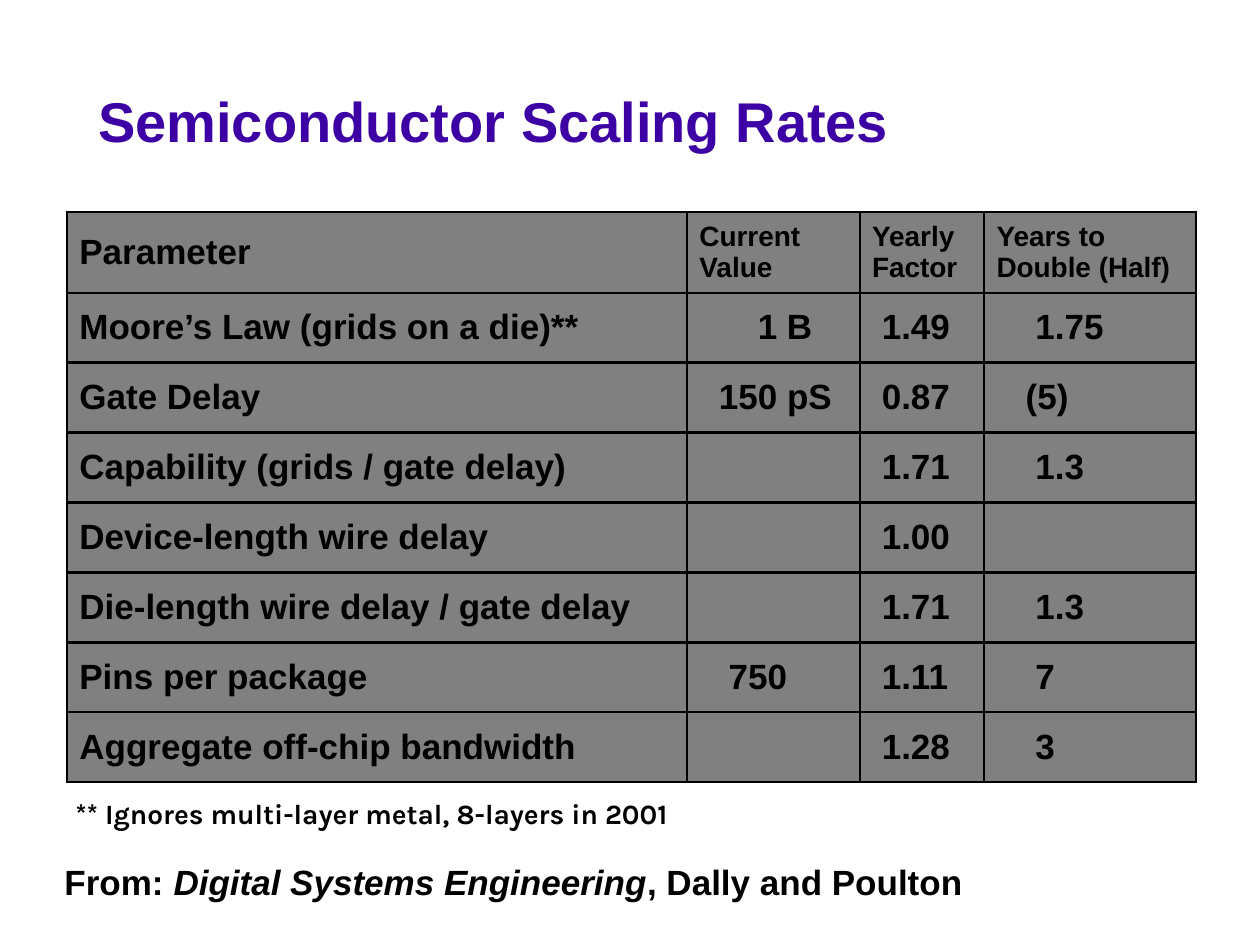
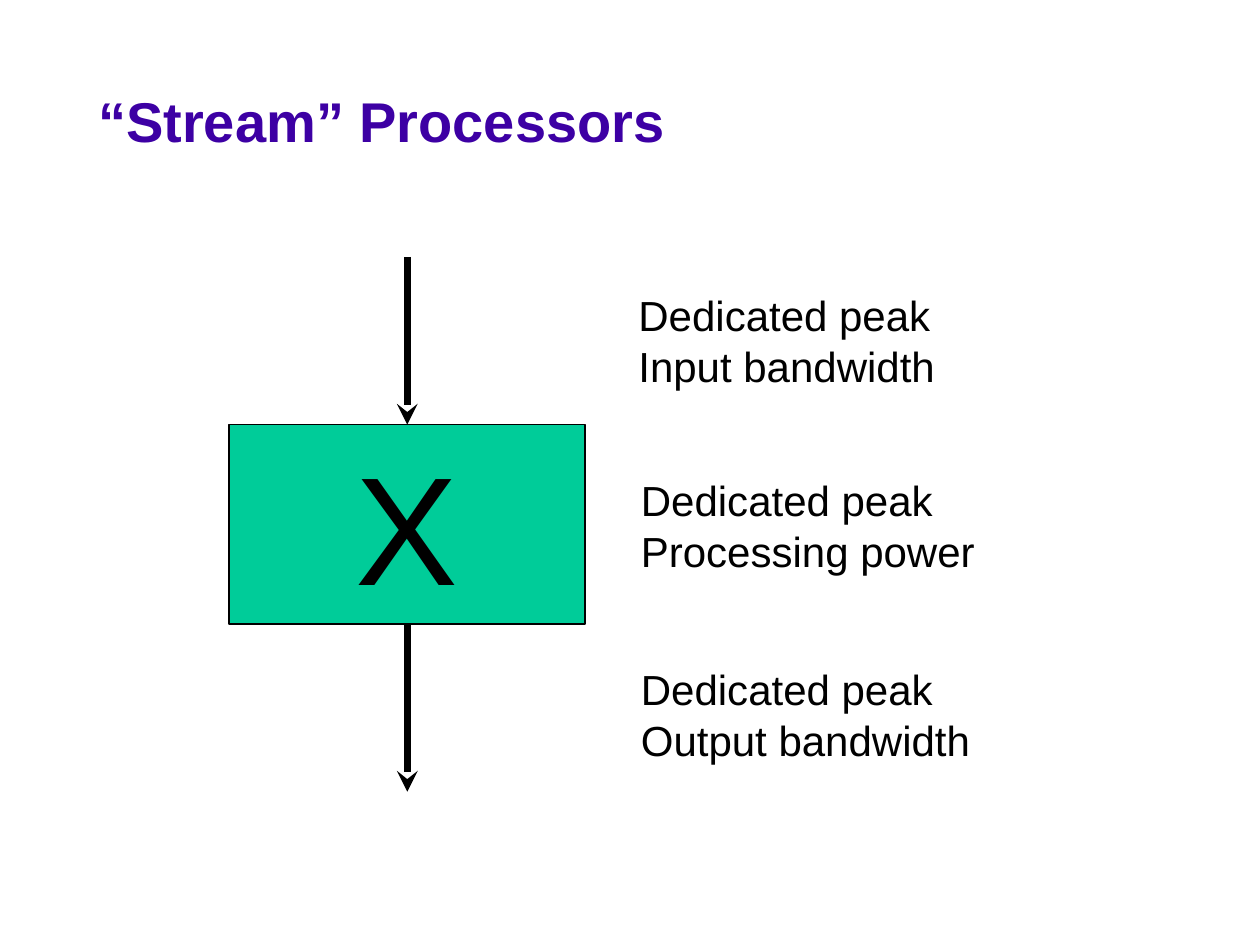
from lxml import etree
from pptx import Presentation
from pptx.dml.color import RGBColor
from pptx.enum.shapes import MSO_CONNECTOR, MSO_SHAPE
from pptx.enum.text import MSO_ANCHOR, PP_ALIGN
from pptx.oxml.ns import qn
from pptx.util import Cm, Pt

TOP, MIDDLE, BOTTOM = MSO_ANCHOR.TOP, MSO_ANCHOR.MIDDLE, MSO_ANCHOR.BOTTOM
CENTER = PP_ALIGN.CENTER
RECTANGLE = MSO_SHAPE.RECTANGLE
STRAIGHT = MSO_CONNECTOR.STRAIGHT

# Shared style
BLACK, PURPLE, GRAY, GREEN = "000000", "3D00A4", "808080", "00CC99"
FONT, NOTE_FONT = "Arial", "Karla"
CELL_MARGIN, CELL_STEP = 0.25, 0.196  # cm; a step is one indent unit

# Scaling table: columns, then rows whose values may carry an indent
COLUMN_WIDTHS = (12.5, 3.48, 2.51, 4.27)
HEADER_HEIGHT, ROW_HEIGHT = 1.63, 1.41
HEADERS = ("Parameter", "Current Value", "Yearly Factor", "Years to Double (Half)")
SCALING = (
    ("Moore’s Law (grids on a die)**", ("1 B", 6), "1.49", ("1.75", 4)),
    ("Gate Delay", ("150 pS", 2), "0.87", ("(5)", 3)),
    ("Capability (grids / gate delay)", ("", 0), "1.71", ("1.3", 4)),
    ("Device-length wire delay", ("", 0), "1.00", ("", 0)),
    ("Die-length wire delay / gate delay", ("", 0), "1.71", ("1.3", 4)),
    ("Pins per package", ("750", 3), "1.11", ("7", 4)),
    ("Aggregate off-chip bandwidth", ("", 0), "1.28", ("3", 4)),
)


def rgb(value):
    return RGBColor.from_string(value)


def add_run(p, text, size, color=BLACK, font=FONT, bold=False, italic=False):
    r = p.add_run()
    r.text = text
    r.font.size = Pt(size)
    r.font.name = font
    r.font.bold = bold
    r.font.italic = italic
    r.font.color.rgb = rgb(color)


def add_text_box(s, left, top, width, height, anchor=TOP, wrap=True):
    tf = s.shapes.add_textbox(Cm(left), Cm(top), Cm(width), Cm(height)).text_frame
    tf.word_wrap = wrap
    tf.vertical_anchor = anchor
    return tf


def add_slide(prs, title):
    s = prs.slides.add_slide(prs.slide_layouts[6])
    tf = add_text_box(s, 1.73, 1.6, 22.15, 1.63, BOTTOM)
    add_run(tf.paragraphs[0], title, 32, PURPLE, bold=True)
    return s


def add_borders(cell, color, width):
    tc_pr = cell._tc.get_or_add_tcPr()
    for side in ("a:lnL", "a:lnR", "a:lnT", "a:lnB"):
        ln = etree.SubElement(tc_pr, qn(side), w=str(Pt(width)))
        fill = etree.SubElement(ln, qn("a:solidFill"))
        etree.SubElement(fill, qn("a:srgbClr"), val=color)


def fill_cell(cell, text, size=20, indent=0):
    add_borders(cell, BLACK, 1.47)
    cell.fill.solid()
    cell.fill.fore_color.rgb = rgb(GRAY)
    cell.vertical_anchor = MIDDLE
    cell.margin_left = Cm(CELL_MARGIN + indent * CELL_STEP)
    if text:
        p = cell.text_frame.paragraphs[0]
        p.space_before, p.space_after = Pt(size / 4), Pt(size * 0.06)
        add_run(p, text, size, bold=True)


def add_scaling_table(s, left, top):
    height = HEADER_HEIGHT + len(SCALING) * ROW_HEIGHT
    table = s.shapes.add_table(len(SCALING) + 1, len(HEADERS), Cm(left), Cm(top),
                               Cm(sum(COLUMN_WIDTHS)), Cm(height)).table
    table.first_row = table.horz_banding = False
    for column, width in zip(table.columns, COLUMN_WIDTHS):
        column.width = Cm(width)
    for i, row in enumerate(table.rows):
        row.height = Cm(ROW_HEIGHT if i else HEADER_HEIGHT)
    for col, header in enumerate(HEADERS):
        fill_cell(table.cell(0, col), header, 16 if col else 20)
    for i, (parameter, current, factor, years) in enumerate(SCALING, 1):
        values = ((parameter, 0), current, (factor, 1), years)
        for col, (text, indent) in enumerate(values):
            fill_cell(table.cell(i, col), text, indent=indent)


def add_box(s, left, top, width, height, text):
    sp = s.shapes.add_shape(RECTANGLE, Cm(left), Cm(top), Cm(width), Cm(height))
    sp.shadow.inherit = False
    sp.fill.solid()
    sp.fill.fore_color.rgb = rgb(GREEN)
    sp.line.color.rgb = rgb(BLACK)
    sp.line.width = Pt(1)
    tf = sp.text_frame
    tf.word_wrap = False
    tf.vertical_anchor = MIDDLE
    p = tf.paragraphs[0]
    p.alignment = CENTER
    add_run(p, text, 88)
    return sp


def add_down_arrow(s, x, top, bottom):
    arrow = s.shapes.add_connector(STRAIGHT, Cm(x), Cm(top), Cm(x), Cm(bottom))
    arrow.line.color.rgb = rgb(BLACK)
    arrow.line.width = Pt(4)
    etree.SubElement(arrow.line._get_or_add_ln(), qn("a:tailEnd"), type="stealth")
    etree.SubElement(arrow._element.spPr, qn("a:effectLst"))
    return arrow


def add_label(s, left, top, width, lines):
    tf = add_text_box(s, left, top, width, 2.29, wrap=False)
    for i, line in enumerate(lines):
        p = tf.add_paragraph() if i else tf.paragraphs[0]
        add_run(p, line, 24)


def build_scaling_slide(prs):
    s = add_slide(prs, "Semiconductor Scaling Rates")
    add_scaling_table(s, 1.35, 4.27)

    # Source line
    p = add_text_box(s, 1.05, 17.22, 21.06, 1.12).paragraphs[0]
    p.space_before, p.space_after = Pt(5), Pt(1.2)
    add_run(p, "From: ", 20, bold=True)
    add_run(p, "Digital Systems Engineering", 20, bold=True, italic=True)
    add_run(p, ", Dally and Poulton", 20, bold=True)

    # Footnote
    p = add_text_box(s, 1.27, 16, 13, 1.47).paragraphs[0]
    p.line_spacing = 0.9
    p.space_before = Pt(10)
    add_run(p, "** Ignores multi-layer metal, 8-layers in 2001", 16,
            font=NOTE_FONT, bold=True)


def build_stream_slide(prs):
    s = add_slide(prs, "“Stream” Processors")

    # Processor with its input and output
    left, top, width, height, arrow_length = 4.62, 8.56, 7.18, 4.02, 3.38
    x, bottom = left + width / 2, top + height
    box = add_box(s, left, top, width, height, "X")
    add_down_arrow(s, x, top - arrow_length, top).end_connect(box, 0)
    add_down_arrow(s, x, bottom, bottom + arrow_length).begin_connect(box, 2)

    # Labels beside each stage
    for label_left, label_top, label_width, stage in (
            (12.62, 5.72, 6.63, "Input bandwidth"),
            (12.67, 9.45, 7.24, "Processing power"),
            (12.67, 13.26, 7.14, "Output bandwidth")):
        add_label(s, label_left, label_top, label_width, ("Dedicated peak", stage))


def main():
    prs = Presentation()
    prs.slide_width, prs.slide_height = Cm(25.4), Cm(19.05)
    build_scaling_slide(prs)
    build_stream_slide(prs)
    prs.save("out.pptx")


if __name__ == "__main__":
    main()
